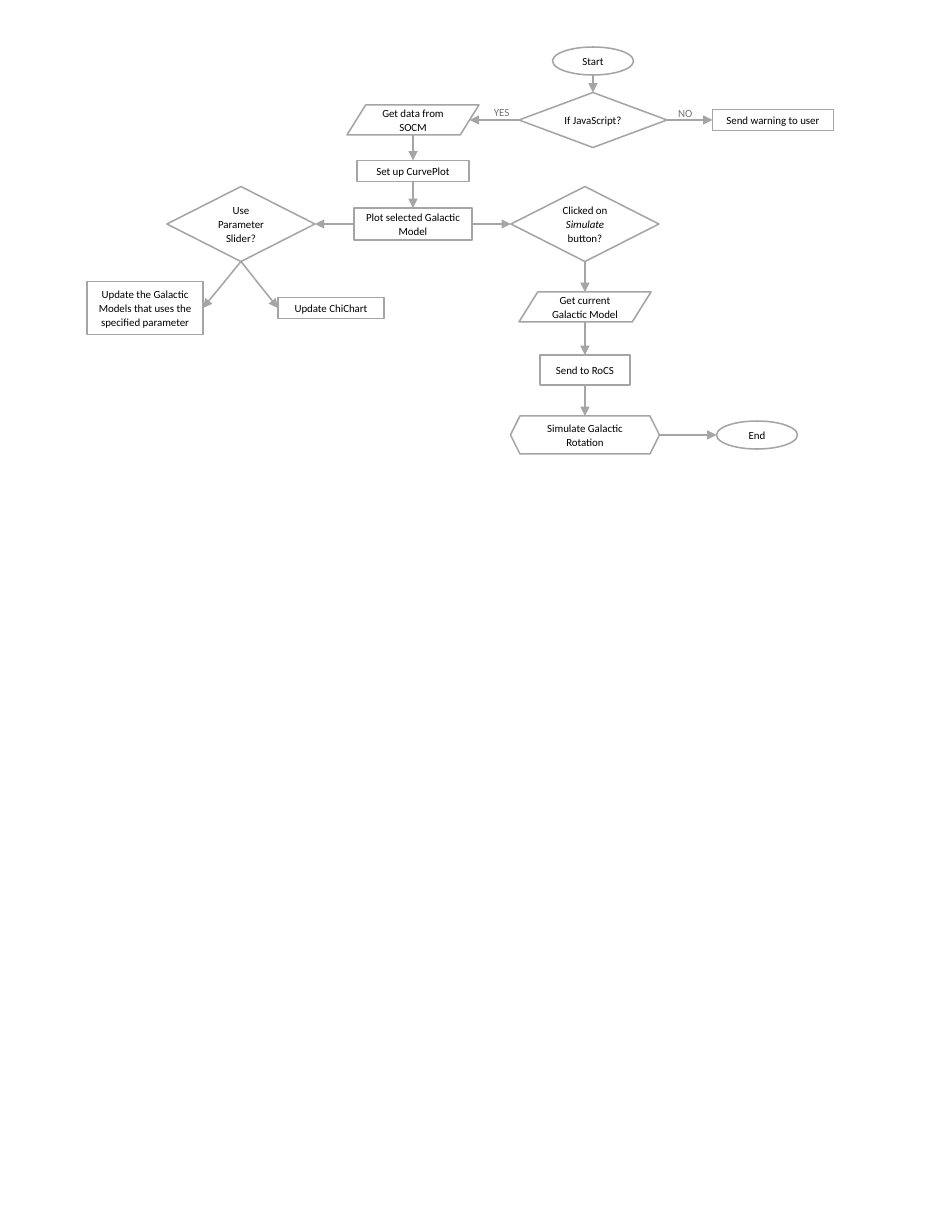
import pptx
import pptx.util
import pptx.dml.color
import pptx.enum.shapes
import pptx.enum.text
import pptx.oxml
import pptx.oxml.ns

PX = 914400 / 112
GREY = pptx.dml.color.RGBColor(0xA5, 0xA5, 0xA5)
LABEL_GREY = pptx.dml.color.RGBColor(0x76, 0x71, 0x71)
BLACK = pptx.dml.color.RGBColor(0, 0, 0)
WHITE = pptx.dml.color.RGBColor(0xFF, 0xFF, 0xFF)

SHAPE = pptx.enum.shapes.MSO_SHAPE
SLANT = 0.625

# Centre lines of the flowchart, in px
START_X, DATA_X, SIMULATE_X, SLIDER_X = 593, 413, 585, 241
CHECK_Y, PLOT_Y, UPDATE_Y, END_Y = 120, 224, 308, 435

# name: (preset, centre x, centre y, width, height, text runs)
NODES = {
    "start": (SHAPE.OVAL, START_X, 61, 81, 28, ["Start"]),
    "check": (SHAPE.DIAMOND, START_X, CHECK_Y, 148, 55, ["If JavaScript?"]),
    "warning": (SHAPE.RECTANGLE, 773, CHECK_Y, 121, 21, ["Send warning to user"]),
    "data": (SHAPE.PARALLELOGRAM, DATA_X, CHECK_Y, 132, 30, ["Get data from SOCM"]),
    "setup": (SHAPE.RECTANGLE, DATA_X, 171, 112, 21, ["Set up CurvePlot"]),
    "plot": (SHAPE.RECTANGLE, DATA_X, PLOT_Y, 118, 32, ["Plot selected Galactic Model"]),
    "slider": (SHAPE.DIAMOND, SLIDER_X, PLOT_Y, 148, 75, ["Use Parameter Slider?"]),
    "models": (SHAPE.RECTANGLE, 145, UPDATE_Y, 116, 53,
               ["Update the Galactic Models that uses the specified parameter"]),
    "chart": (SHAPE.RECTANGLE, 331, UPDATE_Y, 106, 21, ["Update ChiChart"]),
    "clicked": (SHAPE.DIAMOND, SIMULATE_X, PLOT_Y, 148, 75,
                ["Clicked on ", "Simulate", " button?"]),
    "current": (SHAPE.PARALLELOGRAM, SIMULATE_X, 307, 132, 30,
                ["Get current Galactic Model"]),
    "send": (SHAPE.RECTANGLE, SIMULATE_X, 370, 90, 30, ["Send to RoCS"]),
    "rotation": (SHAPE.HEXAGON, SIMULATE_X, END_Y, 149, 38,
                 ["Simulate Galactic Rotation"]),
    "end": (SHAPE.OVAL, 757, END_Y, 81, 28, ["End"]),
}

ARROWS = [
    ("start", "bottom", "check", "top"),
    ("check", "left", "data", "right"),
    ("check", "right", "warning", "left"),
    ("data", "bottom", "setup", "top"),
    ("setup", "bottom", "plot", "top"),
    ("plot", "left", "slider", "right"),
    ("plot", "right", "clicked", "left"),
    ("slider", "bottom", "models", "right"),
    ("slider", "bottom", "chart", "left"),
    ("clicked", "bottom", "current", "top"),
    ("current", "bottom", "send", "top"),
    ("send", "bottom", "rotation", "top"),
    ("rotation", "right", "end", "left"),
]

LABELS = [("YES", 483, 100, 39, 25), ("NO", 667, 101, 37, 25)]


def px(n):
    return pptx.util.Emu(round(n * PX))


def add_run(p, text, color, italic=False):
    r = p.add_run()
    r.text = text
    r.font.name = "Calibri"
    r.font.size = pptx.util.Pt(7)
    r.font.italic = italic
    r.font.color.rgb = color


def add_node(s, preset, cx, cy, w, h, runs):
    sp = s.shapes.add_shape(preset, px(cx - w / 2), px(cy - h / 2), px(w), px(h))
    if preset == SHAPE.PARALLELOGRAM:
        sp.adjustments[0] = SLANT
    sp.shadow.inherit = False
    sp.fill.solid()
    sp.fill.fore_color.rgb = WHITE
    sp.line.color.rgb = GREY
    sp.line.width = pptx.util.Pt(1)
    tf = sp.text_frame
    tf.word_wrap = True
    tf.vertical_anchor = pptx.enum.text.MSO_ANCHOR.MIDDLE
    tf.margin_left = tf.margin_right = pptx.util.Inches(0.06)
    tf.margin_top = tf.margin_bottom = pptx.util.Inches(0.03)
    p = tf.paragraphs[0]
    p.alignment = pptx.enum.text.PP_ALIGN.CENTER
    p.line_spacing = 1.07
    p.space_after = pptx.util.Pt(5.1)
    for i, text in enumerate(runs):
        add_run(p, text, BLACK, italic=i == 1)


def side_point(name, side):
    """Return the middle of one side of a node, on its outline."""
    preset, cx, cy, w, h, _ = NODES[name]
    inset = SLANT * h / 2 if preset == SHAPE.PARALLELOGRAM else 0
    dx, dy = w / 2 - inset, h / 2
    return {
        "top": (cx, cy - dy),
        "bottom": (cx, cy + dy),
        "left": (cx - dx, cy),
        "right": (cx + dx, cy),
    }[side]


def add_arrow(s, start, end):
    cn = s.shapes.add_connector(pptx.enum.shapes.MSO_CONNECTOR.STRAIGHT,
                                *map(px, start + end))
    cn.line.color.rgb = GREY
    cn.line.width = pptx.util.Pt(1)
    tail = pptx.oxml.parse_xml(
        '<a:tailEnd %s type="triangle"/>' % pptx.oxml.ns.nsdecls("a"))
    cn.line._get_or_add_ln().append(tail)
    effects = pptx.oxml.parse_xml("<a:effectLst %s/>" % pptx.oxml.ns.nsdecls("a"))
    cn._element.spPr.append(effects)


def add_label(s, text, *box):
    tf = s.shapes.add_textbox(*map(px, box)).text_frame
    tf.word_wrap = False
    tf.auto_size = pptx.enum.text.MSO_AUTO_SIZE.SHAPE_TO_FIT_TEXT
    add_run(tf.paragraphs[0], text, LABEL_GREY)


def main():
    prs = pptx.Presentation()
    prs.slide_width = pptx.util.Inches(8.5)
    prs.slide_height = pptx.util.Inches(11)
    s = prs.slides.add_slide(prs.slide_layouts[6])
    for node in NODES.values():
        add_node(s, *node)
    for source, out_side, target, in_side in ARROWS:
        add_arrow(s, side_point(source, out_side), side_point(target, in_side))
    for label in LABELS:
        add_label(s, *label)
    prs.save("out.pptx")


if __name__ == "__main__":
    main()
